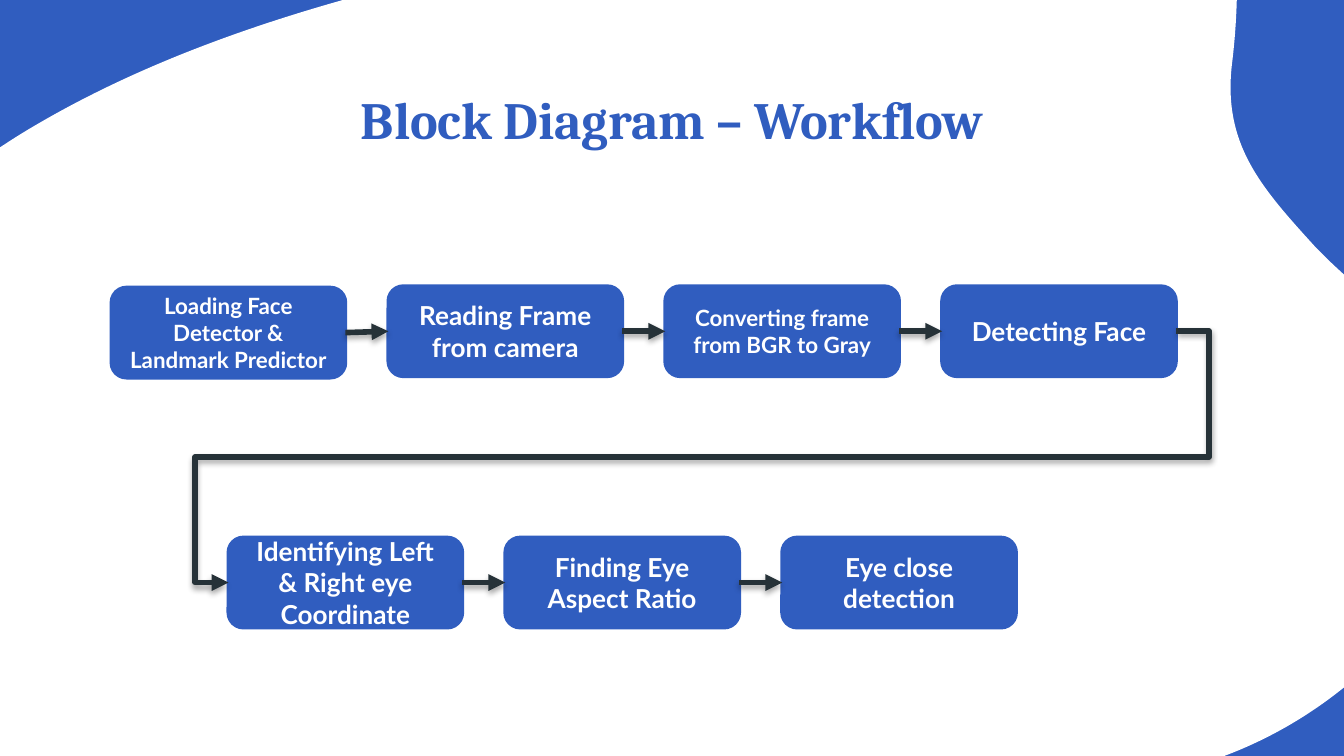
"""Build the block diagram slide of the eye detection workflow."""
from itertools import pairwise
from math import cos, radians, sin

from lxml.etree import SubElement
from pptx import Presentation
from pptx.dml.color import RGBColor
from pptx.enum.shapes import MSO_CONNECTOR, MSO_SHAPE
from pptx.enum.text import MSO_ANCHOR, PP_ALIGN
from pptx.oxml import parse_xml
from pptx.oxml.ns import nsdecls, qn
from pptx.util import Inches, Pt

BLUE, WHITE, DARK = "305DBF", "FFFFFF", "263238"
BOX_WIDTH, BOX_HEIGHT, COLUMN_STEP = 1.74, 0.67, 2.06
ROWS = [
    (0.83, 2.13, [("Loading Face Detector & Landmark Predictor", 12),
                  ("Reading Frame from camera", 14),
                  ("Converting frame from BGR to Gray", 12),
                  ("Detecting Face", 14)]),
    (1.70, 4.00, [("Identifying Left & Right eye Coordinate", 14),
                  ("Finding Eye Aspect Ratio", 14),
                  ("Eye close detection", 14)]),
]
BLOB_LEFT, BLOB_TOP, BLOB_WIDTH, BLOB_HEIGHT = -1.02, -3.23, 12.04, 11.57
BLOB_TURN = 22.5
BLOB_START = (8.06, -2.44)
BLOB_CURVES = [
    [(7.71, -2.59), (7.26, -2.64), (6.68, -2.54)],
    [(5.75, -2.38), (5.05, -1.64), (4.55, -0.91)],
    [(4.12, -0.28), (3.31, -0.19), (2.66, -0.03)],
    [(1.86, 0.19), (1.05, 0.48), (0.32, 0.9)],
    [(-1.19, 1.76), (-1.59, 2.91), (-1.47, 4.36)],
    [(-1.43, 4.79), (-1.34, 5.48), (-0.56, 6.26)],
    [(-0.26, 6.55), (0.07, 6.77), (0.42, 6.92)],
    [(1.33, 7.29), (2.43, 7.22), (3.67, 6.8)],
    [(4.07, 6.67), (4.44, 6.48), (4.82, 6.33)],
    [(5.22, 6.16), (5.65, 6.05), (6.08, 5.99)],
    [(7.07, 5.85), (8.12, 5.98), (9.07, 5.64)],
    [(9.57, 5.46), (10.03, 5.15), (10.38, 4.75)],
    [(10.82, 4.24), (10.95, 3.56), (10.7, 2.94)],
    [(10.46, 2.36), (10.12, 2.19), (9.78, 1.83)],
    [(9.37, 1.38), (9.09, 1.06), (9.17, 0.45)],
    [(9.26, -0.31), (9.26, -1.94), BLOB_START],
]


def paint(fill, color):
    fill.solid()
    fill.fore_color.rgb = RGBColor.from_string(color)


def write(shape, text, *, size, font, color, anchor=MSO_ANCHOR.MIDDLE):
    frame = shape.text_frame
    frame.word_wrap = True
    frame.vertical_anchor = anchor
    paragraph = frame.paragraphs[0]
    paragraph.alignment = PP_ALIGN.CENTER
    run = paragraph.add_run()
    run.text = text
    run.font.name, run.font.size, run.font.bold = font, Pt(size), True
    paint(run.font.fill, color)


presentation = Presentation()
presentation.slide_width, presentation.slide_height = Inches(10), Inches(5.625)
slide = presentation.slides.add_slide(presentation.slide_layouts[5])
paint(slide.background.fill, BLUE)

builder = slide.shapes.build_freeform(*map(Inches, BLOB_START))
builder.add_line_segments([tuple(map(Inches, curve[-1])) for curve in BLOB_CURVES])
blob = builder.convert_to_shape()
blob.left, blob.top = Inches(BLOB_LEFT), Inches(BLOB_TOP)
blob.width, blob.height = Inches(BLOB_WIDTH), Inches(BLOB_HEIGHT)
blob.rotation = BLOB_TURN
blob.shadow.inherit = False
paint(blob.fill, WHITE)
blob.line.fill.background()

outline = blob.element.spPr.find(f".//{qn('a:path')}")
outline.set("w", str(blob.width))
outline.set("h", str(blob.height))
for segment in list(outline):
    outline.remove(segment)
cosine, sine = cos(radians(BLOB_TURN)), sin(radians(BLOB_TURN))
for command, curve in [("moveTo", [BLOB_START])] + [("cubicBezTo", c) for c in BLOB_CURVES]:
    segment = SubElement(outline, qn(f"a:{command}"))
    for x, y in curve:
        across = x - BLOB_LEFT - BLOB_WIDTH / 2
        down = y - BLOB_TOP - BLOB_HEIGHT / 2
        SubElement(segment, qn("a:pt"),
                   x=str(Inches(BLOB_WIDTH / 2 + across * cosine + down * sine)),
                   y=str(Inches(BLOB_HEIGHT / 2 + down * cosine - across * sine)))
SubElement(outline, qn("a:close"))

boxes = []
for left, top, steps in ROWS:
    for column, (text, size) in enumerate(steps):
        box = slide.shapes.add_shape(
            MSO_SHAPE.ROUNDED_RECTANGLE, Inches(left + column * COLUMN_STEP),
            Inches(top), Inches(BOX_WIDTH), Inches(BOX_HEIGHT))
        box.shadow.inherit = False
        paint(box.fill, BLUE)
        paint(box.line.fill, BLUE)
        box.line.width = Pt(2)
        write(box, text, size=size, font="Lato", color=WHITE)
        boxes.append(box)
boxes[0].top = Inches(2.14)

for source, target in pairwise(boxes):
    same_row = target.left > source.left
    kind = MSO_CONNECTOR.STRAIGHT if same_row else MSO_CONNECTOR.ELBOW
    connector = slide.shapes.add_connector(kind, 0, 0, 0, 0)
    connector.begin_connect(source, 3)
    connector.end_connect(target, 1)
    paint(connector.line.fill, DARK)
    connector.line.width = Pt(3)
    properties = connector.element.spPr
    SubElement(properties.find(qn("a:ln")), qn("a:tailEnd"), type="triangle")
    properties.append(parse_xml(
        f'<a:effectLst {nsdecls("a")}><a:outerShdw blurRad="{Pt(3.1)}" '
        f'dist="{Pt(1.8)}" dir="5400000" rotWithShape="0"><a:srgbClr val="000000">'
        '<a:alpha val="35000"/></a:srgbClr></a:outerShdw></a:effectLst>'))
    if not same_row:
        geometry = properties.find(qn("a:prstGeom"))
        geometry.set("prst", "bentConnector5")
        guides = geometry.find(qn("a:avLst"))
        for number, share in enumerate((-3500, 50000, 103500), 1):
            SubElement(guides, qn("a:gd"), name=f"adj{number}", fmla=f"val {share}")

title = slide.shapes.title
title.left, title.top = Inches(0.83), Inches(0.55)
title.width, title.height = Inches(8.34), Inches(0.81)
frame = title.text_frame
frame.margin_left = frame.margin_right = Inches(0.1)
frame.margin_top = frame.margin_bottom = Inches(0.1)
write(title, "Block Diagram – Workflow", size=28, font="Cambria", color=BLUE,
      anchor=MSO_ANCHOR.TOP)
title.element.getparent().append(title.element)

presentation.save("out.pptx")
